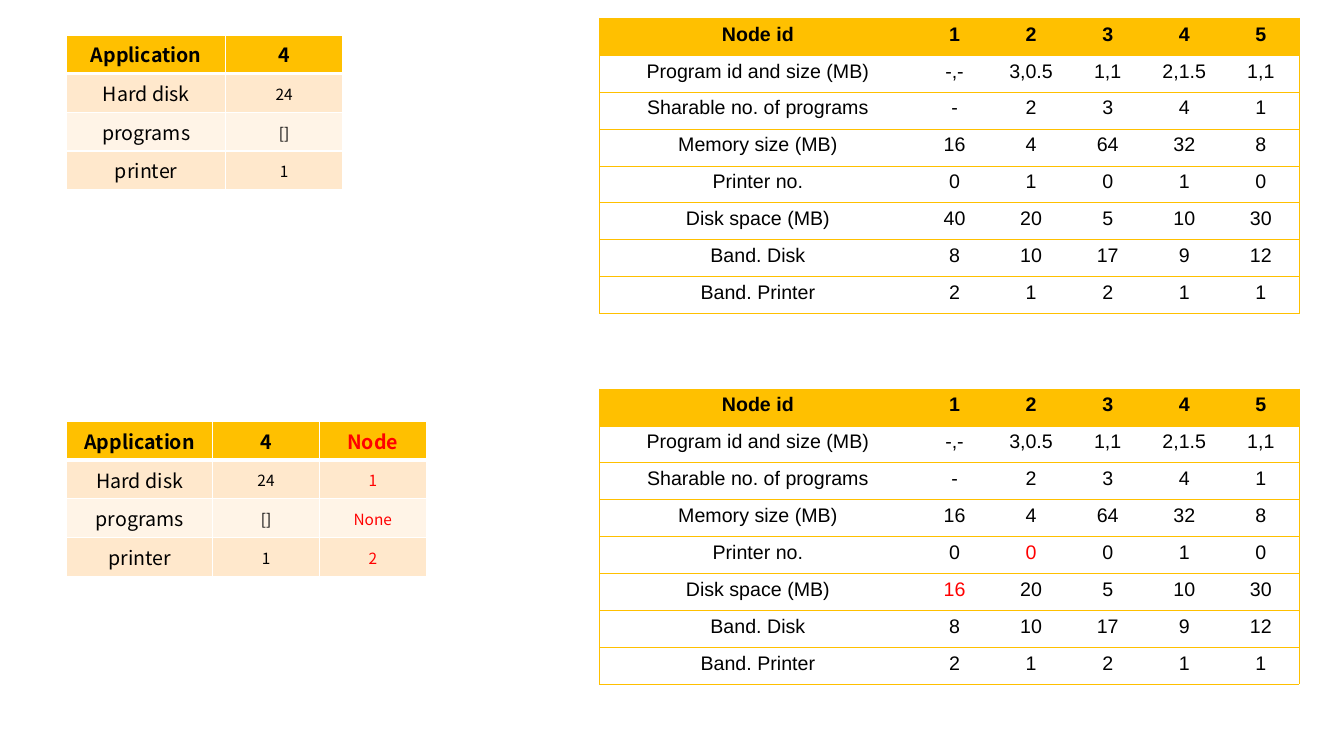
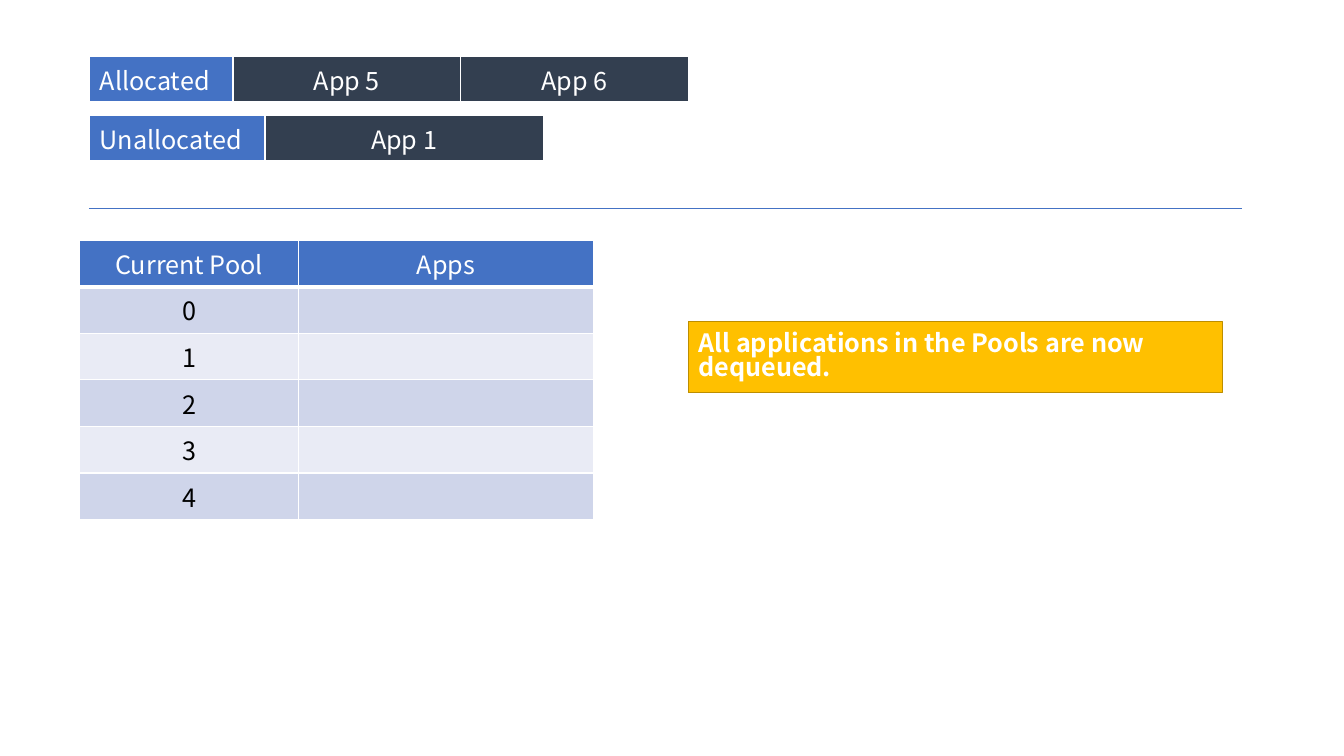
"""Builds two slides on allocating applications to nodes and pools."""
from lxml import etree
from pptx import Presentation
from pptx.dml.color import RGBColor
from pptx.enum.shapes import MSO_CONNECTOR, MSO_SHAPE
from pptx.enum.text import MSO_ANCHOR, PP_ALIGN
from pptx.oxml.ns import qn
from pptx.util import Cm, Pt

LEFT, MID = PP_ALIGN.LEFT, PP_ALIGN.CENTER
TOP, CORE = MSO_ANCHOR.TOP, MSO_ANCHOR.MIDDLE
RECT, LINE = MSO_SHAPE.RECTANGLE, MSO_CONNECTOR.STRAIGHT
PLAIN = "{2D5ABB26-0587-4C30-8999-92F81FD0307C}"


class Theme:
    sans, arial = "Noto Sans CJK JP", "Arial"
    black, white, red = "000000", "FFFFFF", "FF0000"
    gold, rim, sand, cream = "FFC000", "BD8E00", "FFE8CC", "FFF4E7"
    blue, navy, mist, pale = "4472C4", "333F50", "CFD5EA", "E9EBF5"
    large, body, small = 18, 14, 11


def write(frame, text, size=Theme.large, font=Theme.sans, color=Theme.black,
          bold=False, align=MID, space=None):
    para = frame.paragraphs[0]
    para.alignment = align
    if space:
        para.line_spacing = space
    run = para.add_run()
    run.text = text
    run.font.size = Pt(size)
    run.font.name = font
    run.font.bold = bold
    run.font.color.rgb = RGBColor.from_string(color)


def grid(slide, spot, cols, high, rows, paint, rule, edge, style):
    """Adds a table; paint, rule and style take a row and a column."""
    left, top = spot
    frame = slide.shapes.add_table(len(rows), len(cols), Cm(left), Cm(top),
                                   Cm(sum(cols)), Cm(high * len(rows)))
    table = frame.table
    table.first_row = table.horz_banding = False
    next(frame.element.iter(qn("a:tableStyleId"))).text = PLAIN
    for col, wide in zip(table.columns, cols):
        col.width = Cm(wide)
    for r, row in enumerate(rows):
        table.rows[r].height = Cm(high)
        for c, text in enumerate(row):
            cell = table.cell(r, c)
            look = style(r, c)
            cell.vertical_anchor = look.pop("anchor", TOP)
            if look.pop("tight", False):
                cell.margin_left = cell.margin_right = cell.margin_top = Cm(0.03)
                cell.margin_bottom = 0
            if text:
                write(cell.text_frame, text, **look)
            tint = paint(r, c)
            if tint:
                cell.fill.solid()
                cell.fill.fore_color.rgb = RGBColor.from_string(tint)
            else:
                cell.fill.background()
            props = cell._tc.get_or_add_tcPr()
            for i, (side, width) in enumerate(zip("LRTB", rule(r, c))):
                line = etree.Element(qn("a:ln" + side), w=str(Pt(width)))
                if width:
                    solid = etree.SubElement(line, qn("a:solidFill"))
                    etree.SubElement(solid, qn("a:srgbClr"), val=edge)
                else:
                    etree.SubElement(line, qn("a:noFill"))
                props.insert(i, line)


deck = Presentation()
deck.slide_width, deck.slide_height = Cm(33.87), Cm(19.05)
blank = deck.slide_layouts[6]

heavy = lambda r, c: (1, 1, 3 if r == 1 else 1, 3 if r == 0 else 1)
thin = lambda r, c: (0.5 if c == 0 else 0, 0.5 if c == 5 else 0, 0.5, 0.5)

slide = deck.slides.add_slide(blank)
need = [["Application", "4"], ["Hard disk", "24"], ["programs", "[]"], ["printer", "1"]]
found = [row + [node] for row, node in zip(need, ["Node", "1", "None", "2"])]
for top, cols, rows in [(0.88, [4.01, 2.94], need),
                        (10.62, [3.68, 2.69, 2.69], found)]:
    grid(slide, (1.68, top), cols, 0.91, rows,
         lambda r, c: [Theme.gold, Theme.sand, Theme.cream, Theme.sand][r],
         heavy, Theme.white,
         lambda r, c: dict(anchor=CORE, bold=r == 0, tight=r > 0 and c > 0,
                           size=Theme.small if r and c else Theme.body,
                           color=Theme.red if c == 2 else Theme.black))

before = [
    ["Node id", "1", "2", "3", "4", "5"],
    ["Program id and size (MB)", "-,-", "3,0.5", "1,1", "2,1.5", "1,1"],
    ["Sharable no. of programs", "-", "2", "3", "4", "1"],
    ["Memory size (MB)", "16", "4", "64", "32", "8"],
    ["Printer no.", "0", "1", "0", "1", "0"],
    ["Disk space (MB)", "40", "20", "5", "10", "30"],
    ["Band. Disk", "8", "10", "17", "9", "12"],
    ["Band. Printer", "2", "1", "2", "1", "1"],
]
used = {(4, 2): "0", (5, 1): "16"}
after = [[used.get((r, c), text) for c, text in enumerate(row)]
         for r, row in enumerate(before)]
for top, rows, marks in [(0.46, before, {}), (9.8, after, used)]:
    grid(slide, (15.11, top), [7.98] + [1.93] * 5, 0.93, rows,
         lambda r, c: None if r else Theme.gold, thin, Theme.gold,
         lambda r, c: dict(size=Theme.body, font=Theme.arial, bold=r == 0,
                           color=Theme.red if (r, c) in marks else Theme.black))

slide = deck.slides.add_slide(blank)
for top, cols, row in [(1.42, [3.61, 5.74, 5.74], ["Allocated", "App 5", "App 6"]),
                       (2.9, [4.42, 7.01], ["Unallocated", "App 1"])]:
    grid(slide, (2.26, top), cols, 1.04, [row],
         lambda r, c: Theme.navy if c else Theme.blue, heavy, Theme.white,
         lambda r, c: dict(color=Theme.white, align=MID if c else LEFT))

pools = [["Current Pool", "Apps"]] + [[str(n), ""] for n in range(5)]
grid(slide, (2.01, 6.05), [5.51, 7.44], 1.14, pools,
     lambda r, c: [Theme.pale, Theme.mist][r % 2] if r else Theme.blue,
     heavy, Theme.white,
     lambda r, c: dict(color=Theme.black if r else Theme.white))

split = slide.shapes.add_connector(LINE, Cm(2.24), Cm(5.26), Cm(31.29), Cm(5.26))
split.line.color.rgb = RGBColor.from_string(Theme.blue)
split.line.width = Pt(0.5)
etree.SubElement(split.element.spPr, qn("a:effectLst"))

note = slide.shapes.add_shape(RECT, Cm(17.35), Cm(8.1), Cm(13.46), Cm(1.8))
note.shadow.inherit = False
note.fill.solid()
note.fill.fore_color.rgb = RGBColor.from_string(Theme.gold)
note.line.color.rgb = RGBColor.from_string(Theme.rim)
note.line.width = Pt(1)
note.text_frame.word_wrap = True
note.text_frame.vertical_anchor = CORE
write(note.text_frame, "All applications in the Pools are now dequeued.",
      color=Theme.white, bold=True, align=LEFT, space=0.82)

deck.save("out.pptx")
